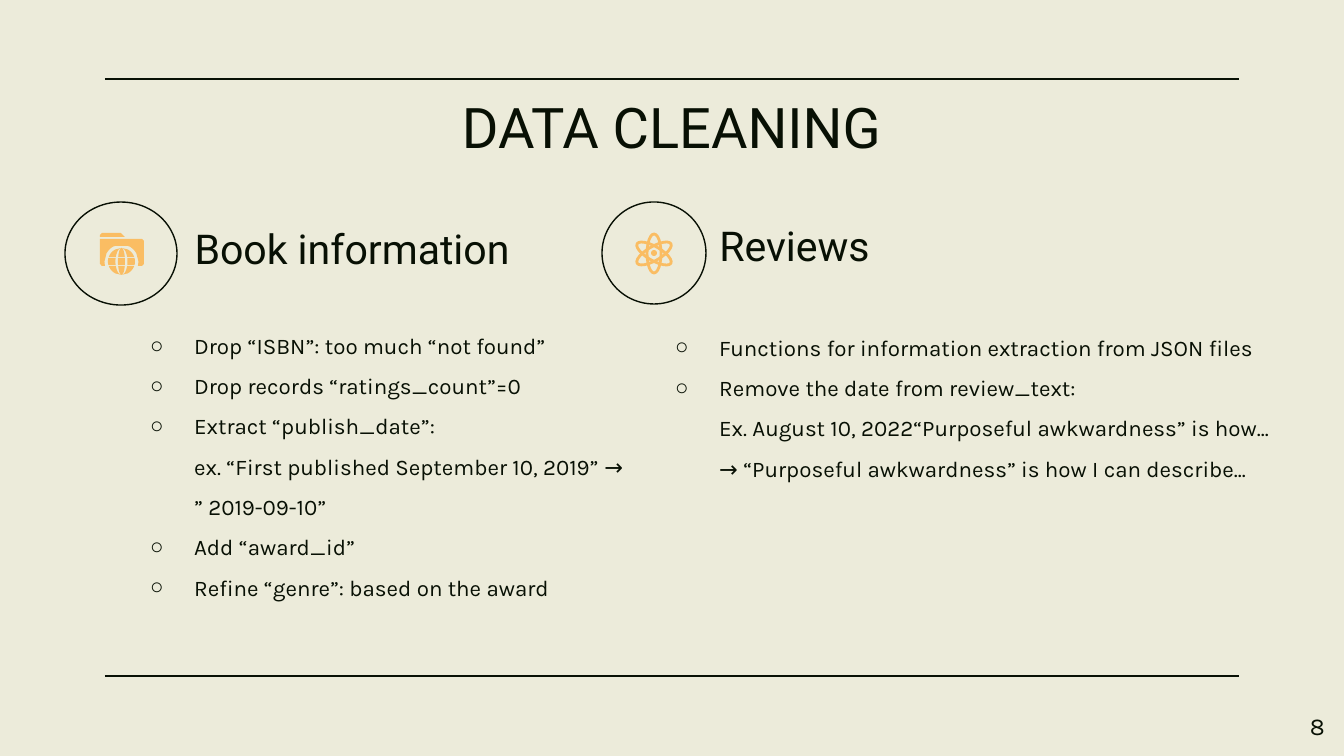
from itertools import product
from math import sqrt

from lxml import etree
from pptx import Presentation, util as u
from pptx.dml.color import RGBColor
from pptx.enum import shapes, text
from pptx.oxml.ns import qn

PX = 914400 / 134.4
COLORS = {"ground": "ECEBDA", "ink": "081004", "icon": "FABD63"}


def px(*lengths):
    return [u.Emu(round(length * PX)) for length in lengths]


def draw(shape, fill=None, line=None, width=0.75, rotation=0):
    """Give a shape its fill, outline and turn; None leaves a part out."""
    shape.shadow.inherit = False
    shape.rotation = rotation
    for part, color in ((shape.fill, fill), (shape.line.fill, line)):
        if color:
            part.solid()
            part.fore_color.rgb = RGBColor.from_string(COLORS[color])
        else:
            part.background()
    if line:
        shape.line.width = u.Pt(width)


deck = Presentation()
deck.slide_width, deck.slide_height = px(1344, 756)
page = deck.slides.add_slide(deck.slide_layouts[5])
page.background.fill.solid()
page.background.fill.fore_color.rgb = RGBColor.from_string(COLORS["ground"])
items = page.shapes

# Rules above and below the content
for y in (79, 676):
    rule = items.add_connector(shapes.MSO_CONNECTOR.STRAIGHT, *px(105, y, 1239, y))
    rule.line.width = u.Pt(0.75)
    rule.line.color.rgb = RGBColor.from_string(COLORS["ink"])
    etree.SubElement(rule._element.spPr, qn("a:effectLst"))

# Ovals: ring round each icon, atom with its three orbits
OVALS = [
    ((65, 202, 112, 103), {"line": "ink"}),
    ((602, 202, 104, 102), {"line": "ink"}),
    ((651, 250, 6, 6), {"fill": "icon"}),
]
OVALS += [
    ((647, 234, 14, 39), {"line": "icon", "width": 1.5, "rotation": turn})
    for turn in (0, 60, 120)
]
for place, look in OVALS:
    draw(items.add_shape(shapes.MSO_SHAPE.OVAL, *px(*place)), **look)

# Folder with a round opening, and a globe cut into three rows and columns
GLOBE_X, GLOBE_Y, GLOBE_R, OPENING_R = 121.5, 261.5, 13.5, 17
opening = []
for step in range(17):
    x = OPENING_R * (1 - step / 8)
    rise = min(sqrt(OPENING_R**2 - x**2), GLOBE_Y - 246)
    opening.append((GLOBE_X + x, GLOBE_Y - rise))
outlines = [
    [(100, 237), (100, 235), (102, 233), (121, 233), (125, 237)],
    [(100, 239), (142, 239), (144, 241), (144, 264), (142, 266), (138, 266),
     *opening, (105, 266), (102, 266), (100, 264)],
]
ROWS = [(248, 257), (258, 265), (266, 275)]
COLUMNS = [(-GLOBE_R, -6), (-3.5, 3.5), (6, GLOBE_R)]
for (top, bottom), (left, right) in product(ROWS, COLUMNS):
    heights = [top + (bottom - top) * step / 6 for step in range(7)]
    spread = [(y, sqrt(1 - ((y - GLOBE_Y) / GLOBE_R) ** 2)) for y in heights]
    outlines.append(
        [(GLOBE_X + left * ratio, y) for y, ratio in spread]
        + [(GLOBE_X + right * ratio, y) for y, ratio in reversed(spread)]
    )
for outline in outlines:
    points = [px(*point) for point in outline]
    builder = items.build_freeform(*points[0])
    builder.add_line_segments(points[1:])
    draw(builder.convert_to_shape(), "icon")

# Texts: place, font, size, alignment, anchor, paragraphs (with bullet or without)
ALIGN, ANCHOR = text.PP_ALIGN, text.MSO_ANCHOR
LABELS = [
    ((105, 79, 1133, 85), "Roboto", 30, ALIGN.CENTER, ANCHOR.TOP, "DATA CLEANING"),
    ((151, 221, 402, 65), "Roboto", 22, ALIGN.CENTER, ANCHOR.BOTTOM, "Book information"),
    ((662, 233, 265, 50), "Roboto", 22, ALIGN.CENTER, ANCHOR.BOTTOM, "Reviews"),
    ((1257, 698, 81, 58), "Karla", 13, ALIGN.RIGHT, ANCHOR.TOP, "8"),
]
LISTS = [
    ((114, 305, 532, 164), [
        ("○", "Drop “ISBN”: too much “not found”"),
        ("○", "Drop records “ratings_count”=0"),
        ("○", "Extract “publish_date”:"),
        ("", "ex. “First published September 10, 2019” → ” 2019-09-10”"),
        ("○", "Add “award_id”"),
        ("○", "Refine “genre”: based on the award"),
    ]),
    ((639, 307, 667, 176), [
        ("○", "Functions for information extraction from JSON files"),
        ("○", "Remove the date from review_text:"),
        ("", "Ex. August 10, 2022“Purposeful awkwardness” is how..."),
        ("", "→ “Purposeful awkwardness” is how I can describe..."),
    ]),
]
texts = [(*label[:5], [(None, label[5])]) for label in LABELS]
texts += [
    (place, "Karla", 12, ALIGN.LEFT, ANCHOR.TOP, lines) for place, lines in LISTS
]

for index, (place, font, size, align, anchor, lines) in enumerate(texts):
    box = items.title if index == 0 else items.add_textbox(*px(*place))
    box.left, box.top, box.width, box.height = px(*place)
    frame = box.text_frame
    inset = u.Inches(0.1)
    frame_format = {
        "word_wrap": True, "auto_size": text.MSO_AUTO_SIZE.NONE,
        "vertical_anchor": anchor, "margin_left": inset, "margin_right": inset,
        "margin_top": inset, "margin_bottom": inset,
    }
    for name, value in frame_format.items():
        setattr(frame, name, value)
    for row, (bullet, words) in enumerate(lines):
        para = frame.add_paragraph() if row else frame.paragraphs[0]
        para.alignment = align
        if bullet is not None:
            para.line_spacing = 1.5
            props = para._p.get_or_add_pPr()
            hang = -44 if bullet else 0
            props.set("marL", str(px(67)[0]))
            props.set("indent", str(px(hang)[0]))
            if bullet:
                color = etree.SubElement(props, qn("a:buClr"))
                etree.SubElement(color, qn("a:srgbClr"), val=COLORS["ink"])
                etree.SubElement(props, qn("a:buFont"), typeface="Arial")
                etree.SubElement(props, qn("a:buChar"), char=bullet)
        span = para.add_run()
        span.text = words
        for name, value in {"name": font, "size": u.Pt(size)}.items():
            setattr(span.font, name, value)
        span.font.color.rgb = RGBColor.from_string(COLORS["ink"])

deck.save("out.pptx")
